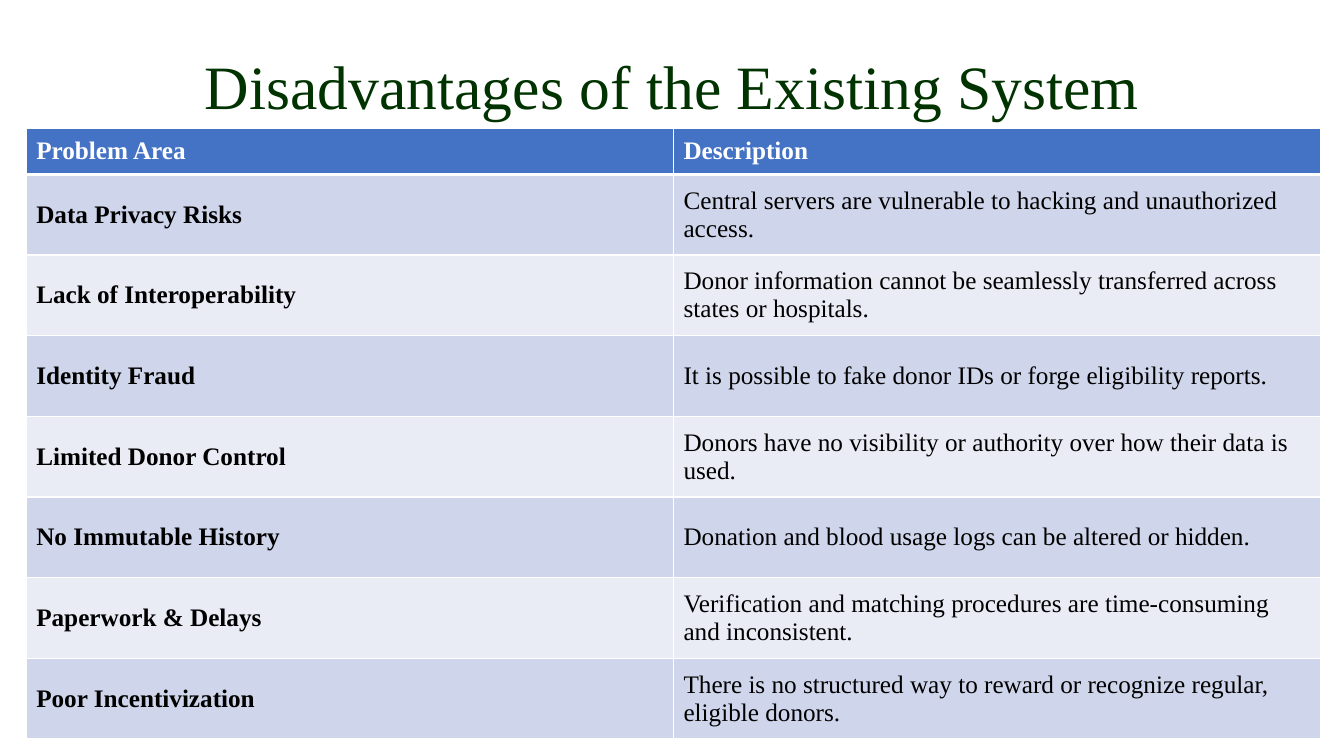
"""Build the slide on disadvantages of the existing system."""
import pptx
import pptx.dml.color
import pptx.enum.text
import pptx.oxml
import pptx.oxml.ns
import pptx.util
from pptx.util import Inches

FONT = "Times New Roman"
WHITE = "FFFFFF"
HEADER_FILL = "4472C4"
BAND_FILLS = ("CFD5EA", "E9EBF5")
COLUMN_WIDTH = 6.42
HEADER_HEIGHT = 0.46
ROW_HEIGHT = 0.8
PROBLEMS = [
    ("Problem Area", "Description"),
    ("Data Privacy Risks",
     "Central servers are vulnerable to hacking and unauthorized access."),
    ("Lack of Interoperability",
     "Donor information cannot be seamlessly transferred across states or hospitals."),
    ("Identity Fraud",
     "It is possible to fake donor IDs or forge eligibility reports."),
    ("Limited Donor Control",
     "Donors have no visibility or authority over how their data is used."),
    ("No Immutable History",
     "Donation and blood usage logs can be altered or hidden."),
    ("Paperwork & Delays",
     "Verification and matching procedures are time-consuming and inconsistent."),
    ("Poor Incentivization",
     "There is no structured way to reward or recognize regular, eligible donors."),
]


def rgb(hex_color):
    """Turn a hex string into a colour."""
    return pptx.dml.color.RGBColor.from_string(hex_color)


def style_font(font, size, color, bold=False):
    """Set typeface, size, colour and weight."""
    font.name = FONT
    font.size = pptx.util.Pt(size)
    font.color.rgb = rgb(color)
    font.bold = bold


def set_borders(cell, top, bottom):
    """Give a cell white borders, with top and bottom widths in points."""
    properties = cell._tc.get_or_add_tcPr()
    widths = {"L": 1, "R": 1, "T": top, "B": bottom}
    for position, (side, width) in enumerate(widths.items()):
        border = pptx.oxml.parse_xml(
            f'<a:ln{side} {pptx.oxml.ns.nsdecls("a")} w="{pptx.util.Pt(width)}">'
            f'<a:solidFill><a:srgbClr val="{WHITE}"/></a:solidFill></a:ln{side}>')
        properties.insert(position, border)


def add_title(slide, text):
    """Place and format the slide title."""
    title = slide.shapes.title
    title.left, title.top = Inches(0.92), Inches(0.4)
    title.width, title.height = Inches(11.5), Inches(0.97)
    title.text_frame.text = text
    title.text_frame.vertical_anchor = pptx.enum.text.MSO_ANCHOR.MIDDLE
    heading = title.text_frame.paragraphs[0]
    heading.alignment = pptx.enum.text.PP_ALIGN.CENTER
    heading.line_spacing = 0.9
    style_font(heading.font, 44, "003300")


def fill_cell(cell, text, row, column):
    """Write one cell and style it by its place in the table."""
    is_header = row == 0
    cell.text = text
    cell.vertical_anchor = pptx.enum.text.MSO_ANCHOR.MIDDLE
    cell.fill.solid()
    cell.fill.fore_color.rgb = rgb(HEADER_FILL if is_header else BAND_FILLS[(row - 1) % 2])
    style_font(cell.text_frame.paragraphs[0].font, 18,
               WHITE if is_header else "000000", bold=is_header or column == 0)
    set_borders(cell, top=3 if row == 1 else 1, bottom=3 if is_header else 1)


def add_problem_table(slide, problems):
    """Add the banded table of problem areas."""
    row_heights = [HEADER_HEIGHT] + [ROW_HEIGHT] * (len(problems) - 1)
    table = slide.shapes.add_table(
        len(problems), 2, Inches(0.26), Inches(1.27),
        Inches(2 * COLUMN_WIDTH), Inches(sum(row_heights))).table
    for column in table.columns:
        column.width = Inches(COLUMN_WIDTH)
    for row, (height, texts) in enumerate(zip(row_heights, problems)):
        table.rows[row].height = Inches(height)
        for column, text in enumerate(texts):
            fill_cell(table.cell(row, column), text, row, column)


def main():
    """Build and save the presentation."""
    presentation = pptx.Presentation()
    presentation.slide_width = Inches(13.33)
    presentation.slide_height = Inches(7.5)
    slide = presentation.slides.add_slide(presentation.slide_layouts[5])
    add_title(slide, "Disadvantages of the Existing System")
    add_problem_table(slide, PROBLEMS)
    presentation.save("out.pptx")


if __name__ == "__main__":
    main()
